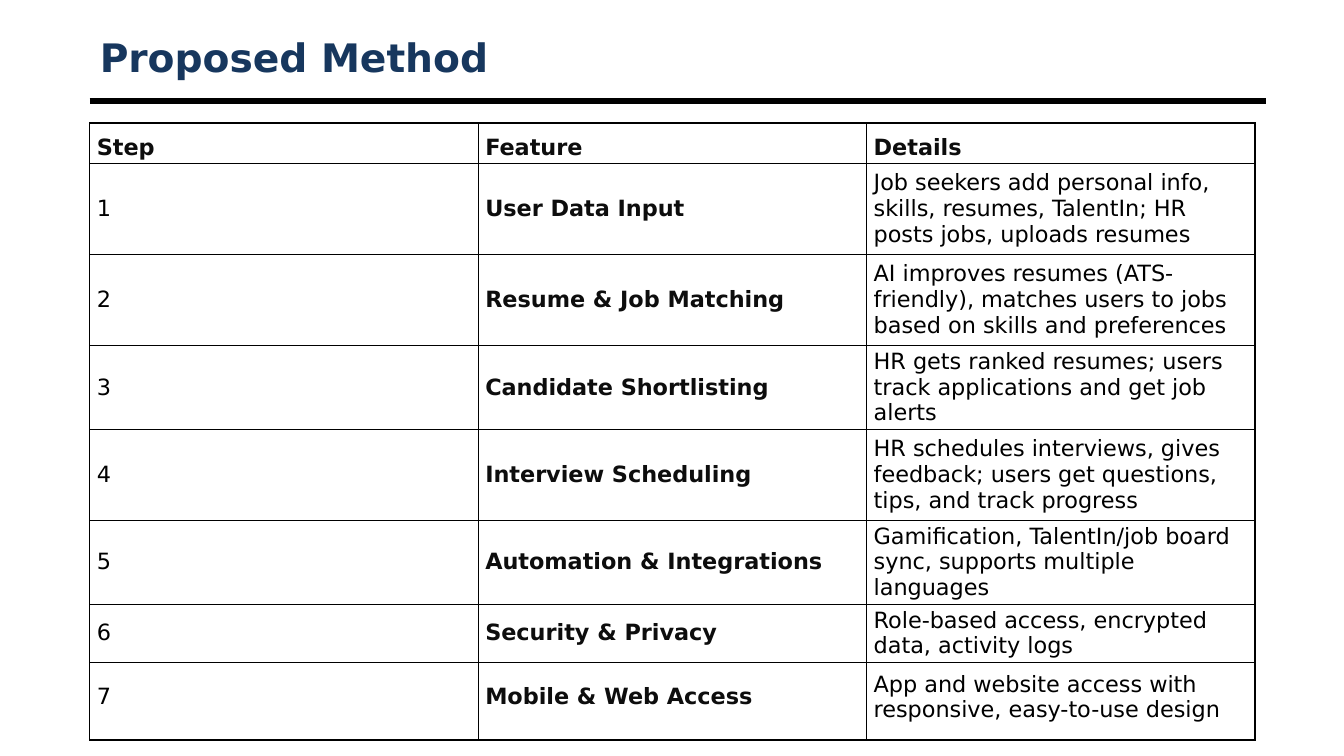
import pptx
import pptx.util
import pptx.dml.color
import pptx.enum.shapes
import pptx.enum.text
import pptx.oxml
import pptx.oxml.ns

Cm, Pt = pptx.util.Cm, pptx.util.Pt
Anchor = pptx.enum.text.MSO_ANCHOR

FACE = "DejaVu Sans"
LEFT = 2.26
HEIGHTS = [1.02, 2.29, 2.29, 1.75, 2.29, 1.75, 1.22, 1.96]
HEADS = ["Step", "Feature", "Details"]
STEPS = [
    ("User Data Input",
     "Job seekers add personal info, skills, resumes, TalentIn; HR posts jobs, uploads resumes"),
    ("Resume & Job Matching",
     "AI improves resumes (ATS-friendly), matches users to jobs based on skills and preferences"),
    ("Candidate Shortlisting",
     "HR gets ranked resumes; users track applications and get job alerts"),
    ("Interview Scheduling",
     "HR schedules interviews, gives feedback; users get questions, tips, and track progress"),
    ("Automation & Integrations",
     "Gamification, TalentIn/job board sync, supports multiple languages"),
    ("Security & Privacy",
     "Role-based access, encrypted data, activity logs"),
    ("Mobile & Web Access",
     "App and website access with responsive, easy-to-use design"),
]


def paint(color, code):
    color.rgb = pptx.dml.color.RGBColor.from_string(code)


def apply(item, values):
    for name, value in values.items():
        setattr(item, name, value)


def write(frame, text, size, code, bold):
    par = frame.paragraphs[0]
    par.alignment = pptx.enum.text.PP_ALIGN.LEFT
    run = par.add_run()
    run.text = text
    apply(run.font, {"name": FACE, "size": Pt(size), "bold": bold})
    paint(run.font.color, code)
    return par


def add_title(slide, text):
    title = slide.shapes.title
    apply(title, {"left": Cm(LEFT), "top": Cm(0.76),
                  "width": Cm(29.64), "height": Cm(1.35)})
    apply(title.text_frame, {"vertical_anchor": Anchor.MIDDLE, "word_wrap": True,
                             "auto_size": pptx.enum.text.MSO_AUTO_SIZE.NONE})
    write(title.text_frame, text, 28, "17375E", True)


def add_rule(slide):
    rule = slide.shapes.add_connector(
        pptx.enum.shapes.MSO_CONNECTOR.STRAIGHT,
        Cm(LEFT), Cm(2.54), Cm(31.9), Cm(2.54))
    rule.line.width = Pt(4.5)
    paint(rule.line.color, "000000")
    pptx.oxml.ns.qn("a:effectLst")
    rule.element.spPr.append(pptx.oxml.parse_xml(
        f"<a:effectLst {pptx.oxml.ns.nsdecls('a')}/>"))


def add_edges(cell, code):
    # Borders stand before the fill in the cell properties
    props = cell._tc.get_or_add_tcPr()
    for spot, side in enumerate("LRTB"):
        props.insert(spot, pptx.oxml.parse_xml(
            f'<a:ln{side} {pptx.oxml.ns.nsdecls("a")} w="12700">'
            f'<a:solidFill><a:srgbClr val="{code}"/></a:solidFill></a:ln{side}>'))


def fill_cell(cell, text, head, bold, base):
    apply(cell, {"margin_left": Cm(0.18), "margin_right": Cm(0.18),
                 "margin_top": Cm(0.08), "margin_bottom": Cm(base),
                 "vertical_anchor": Anchor.BOTTOM if head else Anchor.MIDDLE})
    par = write(cell.text_frame, text, 16, "0D0D0D" if bold else "000000", bold)
    if head:
        par.line_spacing = Pt(12)
    cell.fill.background()
    add_edges(cell, "000000")


def add_grid(slide):
    rows = [HEADS] + [(str(num), *step) for num, step in enumerate(STEPS, 1)]
    grid = slide.shapes.add_table(
        len(rows), len(HEADS), Cm(LEFT), Cm(3.1),
        Cm(29.36), Cm(sum(HEIGHTS))).table
    apply(grid, {"first_row": False, "horz_banding": False})
    for col in grid.columns:
        col.width = Cm(9.79)
    for r, row in enumerate(rows):
        grid.rows[r].height = Cm(HEIGHTS[r])
        base = 0.28 if r == len(rows) - 1 else 0.08
        for c, text in enumerate(row):
            fill_cell(grid.cell(r, c), text, r == 0, r == 0 or c == 1, base)


def main():
    deck = pptx.Presentation()
    apply(deck, {"slide_width": Cm(33.87), "slide_height": Cm(19.05)})
    slide = deck.slides.add_slide(deck.slide_layouts[5])
    # Heading
    add_rule(slide)
    add_title(slide, "Proposed Method")
    # Steps of the method
    add_grid(slide)
    deck.save("out.pptx")


if __name__ == "__main__":
    main()
